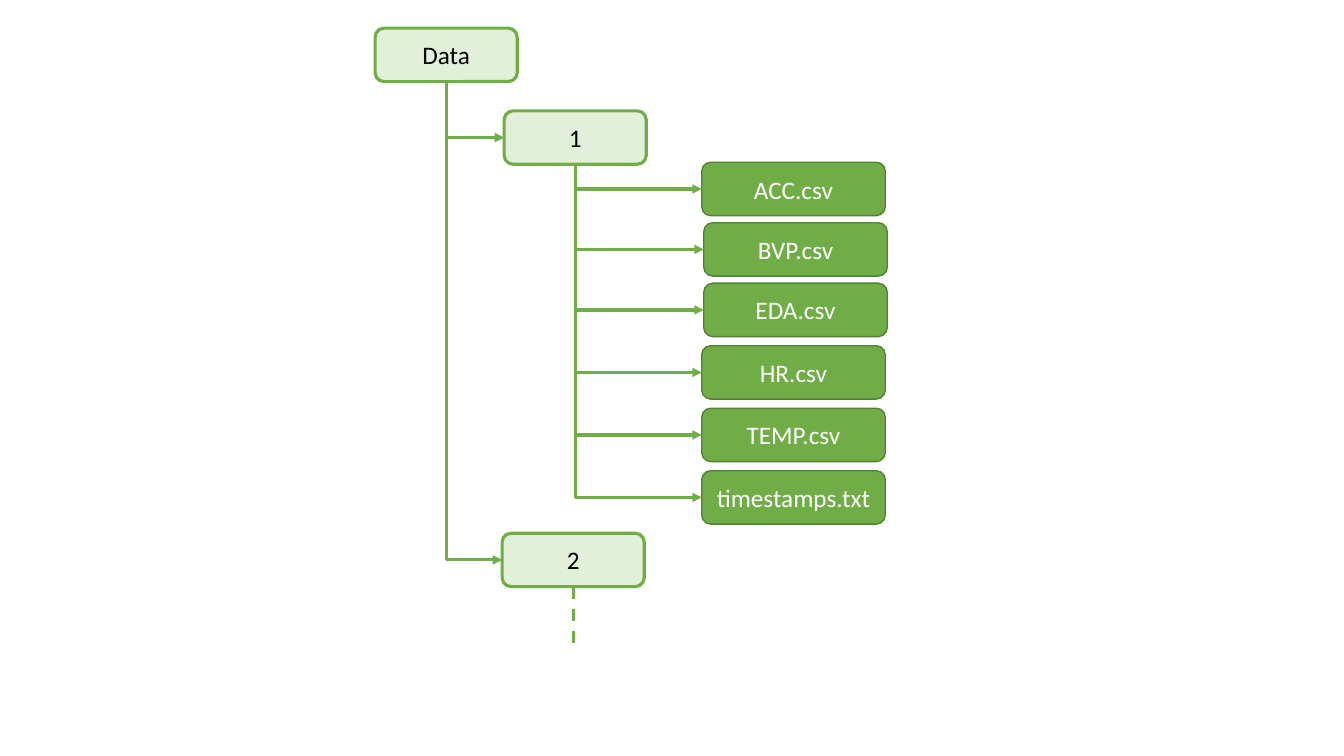
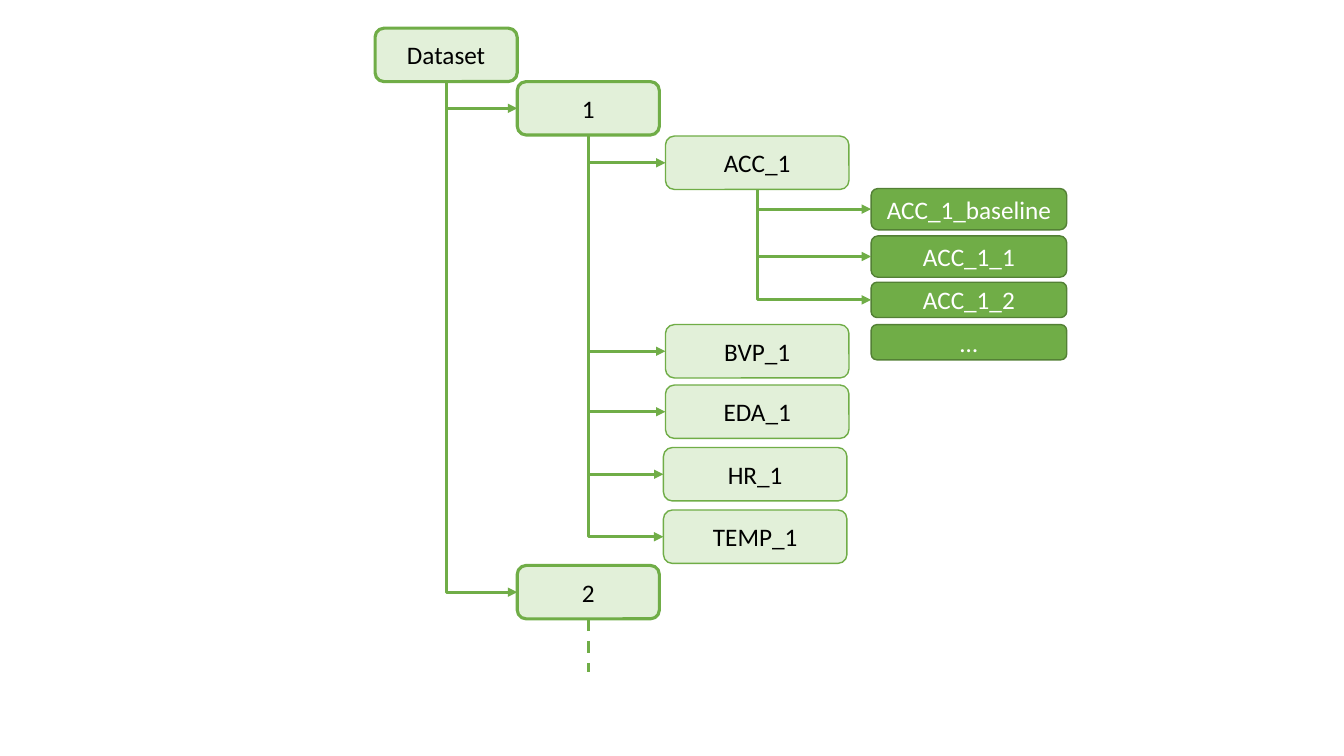
from dataclasses import dataclass

from lxml import etree
from pptx import Presentation
from pptx.dml.color import RGBColor
from pptx.enum.dml import MSO_LINE
from pptx.enum.shapes import MSO_CONNECTOR, MSO_SHAPE
from pptx.enum.text import MSO_ANCHOR, PP_ALIGN
from pptx.oxml.ns import qn
from pptx.util import Inches, Pt

DASH = MSO_LINE.DASH
STRAIGHT = MSO_CONNECTOR.STRAIGHT
ELBOW = MSO_CONNECTOR.ELBOW
ROUNDED = MSO_SHAPE.ROUNDED_RECTANGLE
MIDDLE = MSO_ANCHOR.MIDDLE
CENTER = PP_ALIGN.CENTER

GREEN = "70AD47"
DARK_GREEN = "538035"
PALE_GREEN = "E2F0D9"
BLACK = "000000"
WHITE = "FFFFFF"
ARROW_WEIGHT = 2.25
TEXT_FORMAT = {"name": "Calibri", "size": Pt(18)}


@dataclass(frozen=True)
class BoxStyle:
    width: float
    height: float
    fill: str
    outline: str
    weight: float
    text: str


FOLDER = BoxStyle(1.41, 0.53, PALE_GREEN, GREEN, 2.25, BLACK)
SIGNAL = BoxStyle(1.82, 0.53, PALE_GREEN, GREEN, 1, BLACK)
FILE = BoxStyle(1.82, 0.53, GREEN, DARK_GREEN, 1, WHITE)
SEGMENT = BoxStyle(1.94, 0.41, GREEN, DARK_GREEN, 1, WHITE)
SLIM_SEGMENT = BoxStyle(1.94, 0.35, GREEN, DARK_GREEN, 1, WHITE)


@dataclass(frozen=True)
class Node:
    label: str
    left: float
    top: float
    style: BoxStyle = FOLDER
    children: tuple["Node", ...] = ()
    linked: bool = True
    dashed_tail: float = 0

    @property
    def center(self) -> float:
        return self.left + self.style.width / 2

    @property
    def middle(self) -> float:
        return self.top + self.style.height / 2

    @property
    def bottom(self) -> float:
        return self.top + self.style.height


DATA_TREE = Node("Data", 3.72, 0.28, children=(
    Node("1", 5, 1.1, children=(
        Node("ACC.csv", 6.96, 1.61, FILE),
        Node("BVP.csv", 6.98, 2.21, FILE),
        Node("EDA.csv", 6.98, 2.81, FILE),
        Node("HR.csv", 6.96, 3.43, FILE),
        Node("TEMP.csv", 6.96, 4.05, FILE),
        Node("timestamps.txt", 6.96, 4.67, FILE),
    )),
    Node("2", 4.98, 5.29, dashed_tail=0.6),
))

DATASET_TREE = Node("Dataset", 3.72, 0.28, children=(
    Node("1", 5.13, 0.81, children=(
        Node("ACC_1", 6.6, 1.35, SIGNAL, children=(
            Node("ACC_1_baseline", 8.64, 1.87, SEGMENT),
            Node("ACC_1_1", 8.64, 2.34, SEGMENT),
            Node("ACC_1_2", 8.64, 2.8, SLIM_SEGMENT),
            Node("…", 8.64, 3.22, SLIM_SEGMENT, linked=False),
        )),
        Node("BVP_1", 6.6, 3.22, SIGNAL),
        Node("EDA_1", 6.6, 3.82, SIGNAL),
        Node("HR_1", 6.58, 4.44, SIGNAL),
        Node("TEMP_1", 6.58, 5.06, SIGNAL),
    )),
    Node("2", 5.13, 5.61, dashed_tail=0.53),
))


def rgb(color: str) -> RGBColor:
    return RGBColor.from_string(color)


def set_line(line, color: str, weight: float) -> None:
    line.color.rgb = rgb(color)
    line.width = Pt(weight)


def add_box(page, node: Node) -> None:
    style = node.style
    box = page.shapes.add_shape(ROUNDED, Inches(node.left), Inches(node.top),
                                Inches(style.width), Inches(style.height))
    box.shadow.inherit = False
    box.fill.solid()
    box.fill.fore_color.rgb = rgb(style.fill)
    set_line(box.line, style.outline, style.weight)
    box.text_frame.vertical_anchor = MIDDLE
    para = box.text_frame.paragraphs[0]
    para.alignment = CENTER
    span = para.add_run()
    span.text = node.label
    for name, value in TEXT_FORMAT.items():
        setattr(span.font, name, value)
    span.font.color.rgb = rgb(style.text)


def add_link(page, kind, start_x: float, start_y: float,
             end_x: float, end_y: float, arrow: bool = True):
    link = page.shapes.add_connector(kind, Inches(start_x), Inches(start_y),
                                     Inches(end_x), Inches(end_y))
    set_line(link.line, GREEN, ARROW_WEIGHT)
    if arrow:
        outline = link.line._get_or_add_ln()
        etree.SubElement(outline, qn("a:tailEnd"), type="triangle")
    etree.SubElement(link._element.spPr, qn("a:effectLst"))
    return link


def add_trunk(page, parent: Node, child: Node) -> None:
    trunk = add_link(page, ELBOW, parent.center, parent.bottom, child.left, child.middle)
    run = child.left - parent.center
    drop = child.middle - parent.bottom
    trunk.left = Inches(parent.center + (run - drop) / 2)
    trunk.top = Inches(parent.bottom + (drop - run) / 2)
    trunk.width, trunk.height = Inches(drop), Inches(run)
    properties = trunk._element.spPr
    frame = properties.find(qn("a:xfrm"))
    frame.set("rot", "16200000")
    frame.set("flipH", "1")
    properties.find(qn("a:prstGeom")).set("prst", "bentConnector2")


def draw_tree(page, node: Node) -> None:
    add_box(page, node)
    for child in node.children:
        draw_tree(page, child)
    linked = [child for child in node.children if child.linked]
    if linked:
        add_trunk(page, node, linked[-1])
    for child in linked[:-1]:
        add_link(page, STRAIGHT, node.center, child.middle, child.left, child.middle)
    if node.dashed_tail:
        tail = add_link(page, STRAIGHT, node.center, node.bottom,
                        node.center, node.bottom + node.dashed_tail, arrow=False)
        tail.line.dash_style = DASH


def main() -> None:
    deck = Presentation()
    deck.slide_width = Inches(13.33)
    deck.slide_height = Inches(7.5)
    for tree in (DATA_TREE, DATASET_TREE):
        draw_tree(deck.slides.add_slide(deck.slide_layouts[6]), tree)
    deck.save("out.pptx")


if __name__ == "__main__":
    main()
